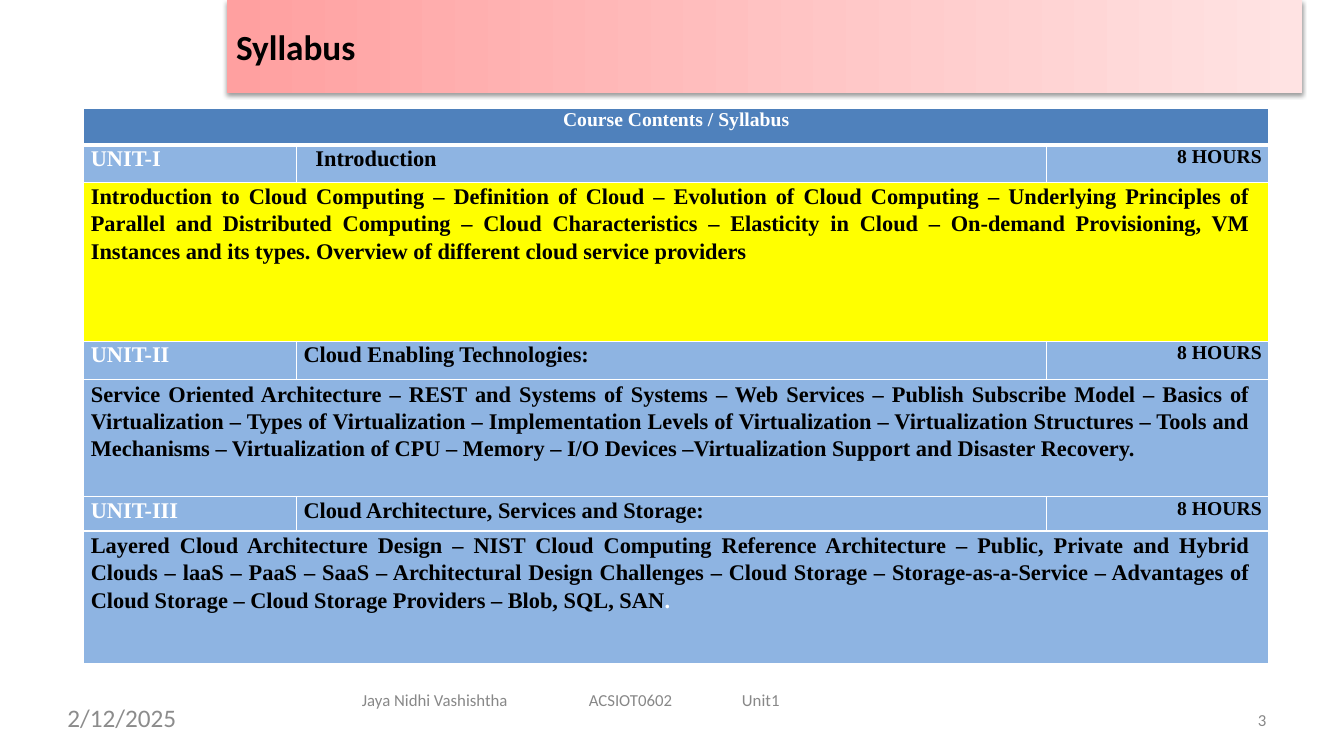
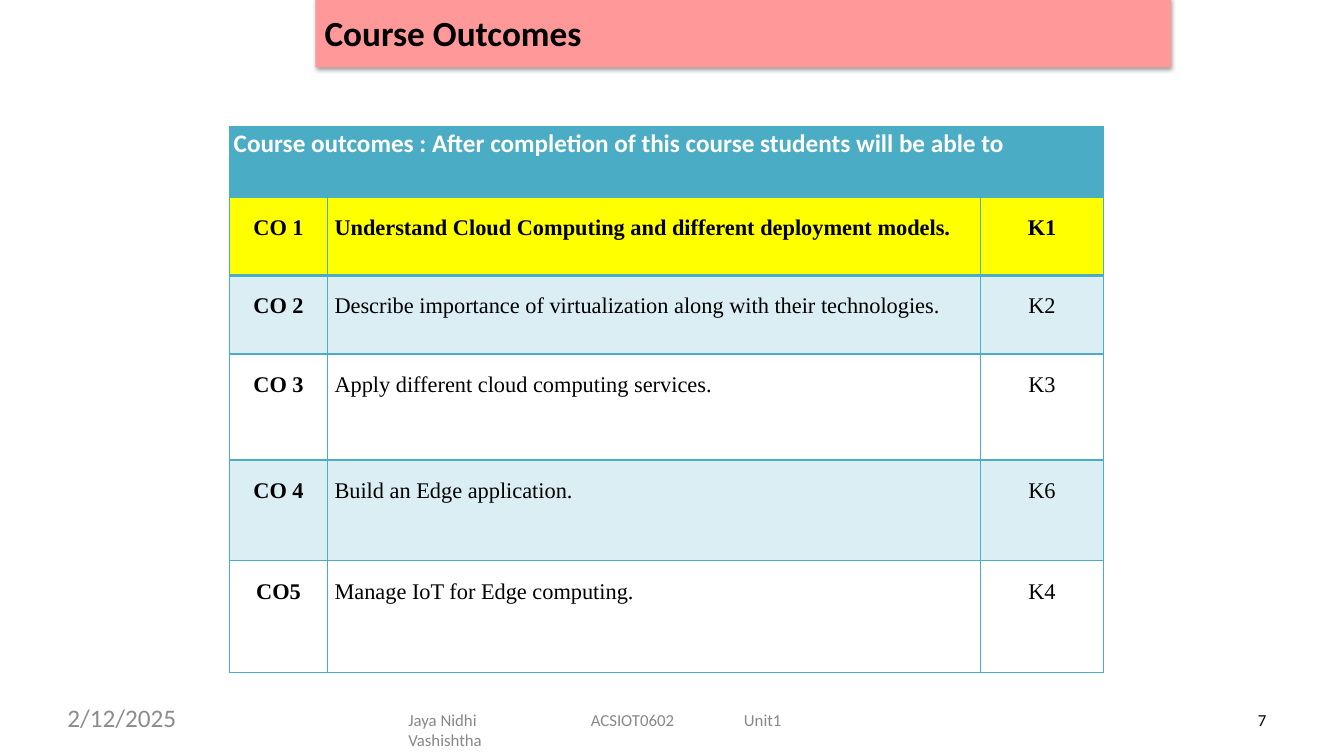
from dataclasses import dataclass, field

from lxml.etree import SubElement
from pptx import Presentation
from pptx.dml.color import RGBColor
from pptx.enum.shapes import MSO_SHAPE
from pptx.enum.text import MSO_ANCHOR, PP_ALIGN
from pptx.oxml.ns import qn
from pptx.util import Cm, Pt

SANS, SERIF = "Calibri", "Times New Roman"
BLACK, WHITE, GREY, DATE_GREY = "000000", "FFFFFF", "888888", "8C8C8C"
PINK, PALE_PINK, ROSE = "FFA0A0", "FFE3E3", "FF9999"
BLUE, PALE_BLUE, YELLOW = "4F81BC", "8EB4E2", "FFFF00"
TEAL, PALE_TEAL = "4AACC5", "DBEEF3"
LEFT, CENTER, RIGHT, JUSTIFY = PP_ALIGN.LEFT, PP_ALIGN.CENTER, PP_ALIGN.RIGHT, PP_ALIGN.JUSTIFY


@dataclass
class Style:
    size: float
    color: str = BLACK
    font: str = SANS
    bold: bool = False
    align: PP_ALIGN = LEFT
    line_spacing: float = 1.0


@dataclass
class Entry:
    """One table cell; margins are left, top, right in centimetres."""
    text: str
    style: Style
    fill: str | None
    margins: tuple[float, float, float] = (0.18, 0.03, 0)
    white_end: str = ""


@dataclass
class Grid:
    left: float
    top: float
    columns: list[float]
    heights: list[float]
    rows: list[list[Entry]]
    border: str
    heavy_rules: dict[int, float] = field(default_factory=dict)


@dataclass
class Page:
    title: str
    band: tuple[float, float, float, float]
    band_colors: list[str]
    grid: Grid
    number: str
    number_color: str
    footer_top: float
    footer_items: list[tuple[str, float, float]]


def rgb(color: str) -> RGBColor:
    return RGBColor.from_string(color)


def write(frame, text: str, style: Style) -> None:
    frame.word_wrap = True
    para = frame.paragraphs[0]
    para.text = text
    para.alignment = style.align
    para.line_spacing = style.line_spacing
    for span in para.runs:
        format_span(span, style)


def format_span(span, style: Style) -> None:
    span.font.size = Pt(style.size)
    span.font.name = style.font
    span.font.bold = style.bold
    span.font.color.rgb = rgb(style.color)


def add_label(slide, text: str, left: float, top: float, width: float,
              height: float, style: Style) -> None:
    box = slide.shapes.add_textbox(Cm(left), Cm(top), Cm(width), Cm(height))
    frame = box.text_frame
    frame.margin_left = frame.margin_right = frame.margin_top = frame.margin_bottom = 0
    write(frame, text, style)


def add_shadow(shape) -> None:
    effects = shape._element.spPr.find(qn("a:effectLst"))
    shadow = SubElement(effects, qn("a:outerShdw"), blurRad=str(Pt(3.1)),
                        dist=str(Pt(1.6)), dir="5400000", rotWithShape="0")
    tint = SubElement(shadow, qn("a:srgbClr"), val=BLACK)
    SubElement(tint, qn("a:alpha"), val="38000")


def add_title(slide, page: Page) -> None:
    band = slide.shapes.add_shape(MSO_SHAPE.RECTANGLE, *map(Cm, page.band))
    if len(page.band_colors) > 1:
        band.fill.gradient()
        band.fill.gradient_angle = 0
        for stop, color in zip(band.fill.gradient_stops, page.band_colors):
            stop.color.rgb = rgb(color)
    else:
        band.fill.solid()
        band.fill.fore_color.rgb = rgb(page.band_colors[0])
    band.line.fill.background()
    band.shadow.inherit = False
    add_shadow(band)
    frame = band.text_frame
    frame.margin_left = frame.margin_right = Cm(0.23)
    frame.vertical_anchor = MSO_ANCHOR.MIDDLE
    write(frame, page.title, Style(25.2, bold=True))


def set_borders(cell, color: str, top: float, bottom: float) -> None:
    properties = cell._tc.get_or_add_tcPr()
    for side, weight in (("L", 1), ("R", 1), ("T", top), ("B", bottom)):
        line = SubElement(properties, qn(f"a:ln{side}"), w=str(Pt(weight)))
        fill = SubElement(line, qn("a:solidFill"))
        SubElement(fill, qn("a:srgbClr"), val=color)


def fill_cell(cell, entry: Entry) -> None:
    if entry.fill:
        cell.fill.solid()
        cell.fill.fore_color.rgb = rgb(entry.fill)
    else:
        cell.fill.background()
    cell.margin_left, cell.margin_top, cell.margin_right = map(Cm, entry.margins)
    cell.margin_bottom = 0
    write(cell.text_frame, entry.text, entry.style)
    if entry.white_end:
        span = cell.text_frame.paragraphs[0].add_run()
        span.text = entry.white_end
        format_span(span, entry.style)
        span.font.color.rgb = rgb(WHITE)


def add_grid(slide, grid: Grid) -> None:
    """Draw the table; a row with a single entry spans all columns."""
    last = len(grid.columns) - 1
    table = slide.shapes.add_table(
        len(grid.rows), len(grid.columns), Cm(grid.left), Cm(grid.top),
        Cm(sum(grid.columns)), Cm(sum(grid.heights))).table
    for column, width in zip(table.columns, grid.columns):
        column.width = Cm(width)
    for index, (entries, height) in enumerate(zip(grid.rows, grid.heights)):
        table.rows[index].height = Cm(height)
        if len(entries) == 1:
            table.cell(index, 0).merge(table.cell(index, last))
        for position, entry in enumerate(entries):
            cell = table.cell(index, position)
            set_borders(cell, grid.border, grid.heavy_rules.get(index, 1),
                        grid.heavy_rules.get(index + 1, 1))
            fill_cell(cell, entry)


def add_footer(slide, page: Page) -> None:
    for text, left, width in page.footer_items:
        add_label(slide, text, left, page.footer_top, width, 0.58, Style(12, GREY))
    add_label(slide, "2/12/2025", 1.7, 17.7, 7.8, 0.97, Style(18, DATE_GREY))
    add_label(slide, page.number, 31.7, 17.88, 0.5, 0.58, Style(12, page.number_color))


def unit_rows(unit: str, topic: str, contents: str, fill: str = PALE_BLUE,
              indent: float = 0.18, white_end: str = "") -> list[list[Entry]]:
    body = Style(16, BLACK, SERIF, True)
    return [
        [Entry(unit, Style(16, WHITE, SERIF, True), PALE_BLUE),
         Entry(topic, body, PALE_BLUE, (indent, 0.03, 0)),
         Entry("8 HOURS", Style(14, BLACK, SERIF, True, RIGHT), PALE_BLUE, (0, 0.03, 0.18))],
        [Entry(contents, Style(16, BLACK, SERIF, True, JUSTIFY, 1.1), fill,
               (0.18, 0, 0.48), white_end)],
    ]


def outcome_row(code: str, outcome: str, level: str, fill: str | None,
                bold: bool = False) -> list[Entry]:
    margins = (0, 0.46, 0)
    return [
        Entry(code, Style(16, BLACK, SERIF, True, CENTER), fill, margins),
        Entry(outcome, Style(16, BLACK, SERIF, bold), fill, (0.18, 0.46, 0)),
        Entry(level, Style(16, BLACK, SERIF, bold, CENTER), fill, margins),
    ]


SYLLABUS = Grid(
    2.11, 2.74, [5.36, 18.9, 5.61], [0.91, 0.94, 4.01, 0.97, 2.95, 0.86, 3.33],
    [
        [Entry("Course Contents / Syllabus", Style(14, WHITE, SERIF, True, CENTER), BLUE, (0, 0, 0))],
        *unit_rows(
            "UNIT-I", "Introduction",
            "Introduction to Cloud Computing – Definition of Cloud – Evolution of Cloud Computing – "
            "Underlying Principles of Parallel and Distributed Computing – Cloud Characteristics – "
            "Elasticity in Cloud – On-demand Provisioning, VM Instances and its types. "
            "Overview of different cloud service providers", YELLOW, 0.48),
        *unit_rows(
            "UNIT-II", "Cloud Enabling Technologies:",
            "Service Oriented Architecture – REST and Systems of Systems – Web Services – "
            "Publish Subscribe Model – Basics of Virtualization – Types of Virtualization – "
            "Implementation Levels of Virtualization – Virtualization Structures – Tools and "
            "Mechanisms – Virtualization of CPU – Memory – I/O Devices –Virtualization Support "
            "and Disaster Recovery."),
        *unit_rows(
            "UNIT-III", "Cloud Architecture, Services and Storage:",
            "Layered Cloud Architecture Design – NIST Cloud Computing Reference Architecture – "
            "Public, Private and Hybrid Clouds – laaS – PaaS – SaaS – Architectural Design "
            "Challenges – Cloud Storage – Storage-as-a-Service – Advantages of Cloud Storage – "
            "Cloud Storage Providers – Blob, SQL, SAN", white_end="."),
    ],
    WHITE, {1: 3})

OUTCOMES = Grid(
    5.79, 3.2, [2.46, 16.46, 3.1], [1.78, 1.96, 1.98, 2.67, 2.54, 2.82],
    [
        [Entry("Course outcomes : After completion of this course students will be able to",
               Style(18, WHITE, bold=True), TEAL, (0.1, 0.03, 0))],
        outcome_row("CO 1", "Understand Cloud Computing and different deployment models.",
                    "K1", YELLOW, True),
        outcome_row("CO 2", "Describe importance of virtualization along with their technologies.",
                    "K2", PALE_TEAL),
        outcome_row("CO 3", "Apply different cloud computing services.", "K3", None),
        outcome_row("CO 4", "Build an Edge application.", "K6", PALE_TEAL),
        outcome_row("CO5", "Manage IoT for Edge computing.", "K4", None),
    ],
    TEAL, {2: 2.25})

PAGES = [
    Page("Syllabus", (5.72, 0, 27.1, 2.34), [PINK, PALE_PINK], SYLLABUS, "3", GREY, 17.38,
         [("Jaya Nidhi Vashishtha", 9.12, 4.6), ("ACSIOT0602", 14.84, 2.4), ("Unit1", 18.7, 1.3)]),
    Page("Course Outcomes", (7.95, -0.05, 21.56, 1.75), [ROSE], OUTCOMES, "7", BLACK, 17.88,
         [("Jaya Nidhi Vashishtha", 10.29, 3.5), ("ACSIOT0602", 14.89, 2.4), ("Unit1", 18.75, 1.3)]),
]


def main() -> None:
    deck = Presentation()
    deck.slide_width, deck.slide_height = Cm(33.87), Cm(19.05)
    for page in PAGES:
        slide = deck.slides.add_slide(deck.slide_layouts[6])
        add_title(slide, page)
        add_grid(slide, page.grid)
        add_footer(slide, page)
    deck.save("out.pptx")


if __name__ == "__main__":
    main()
